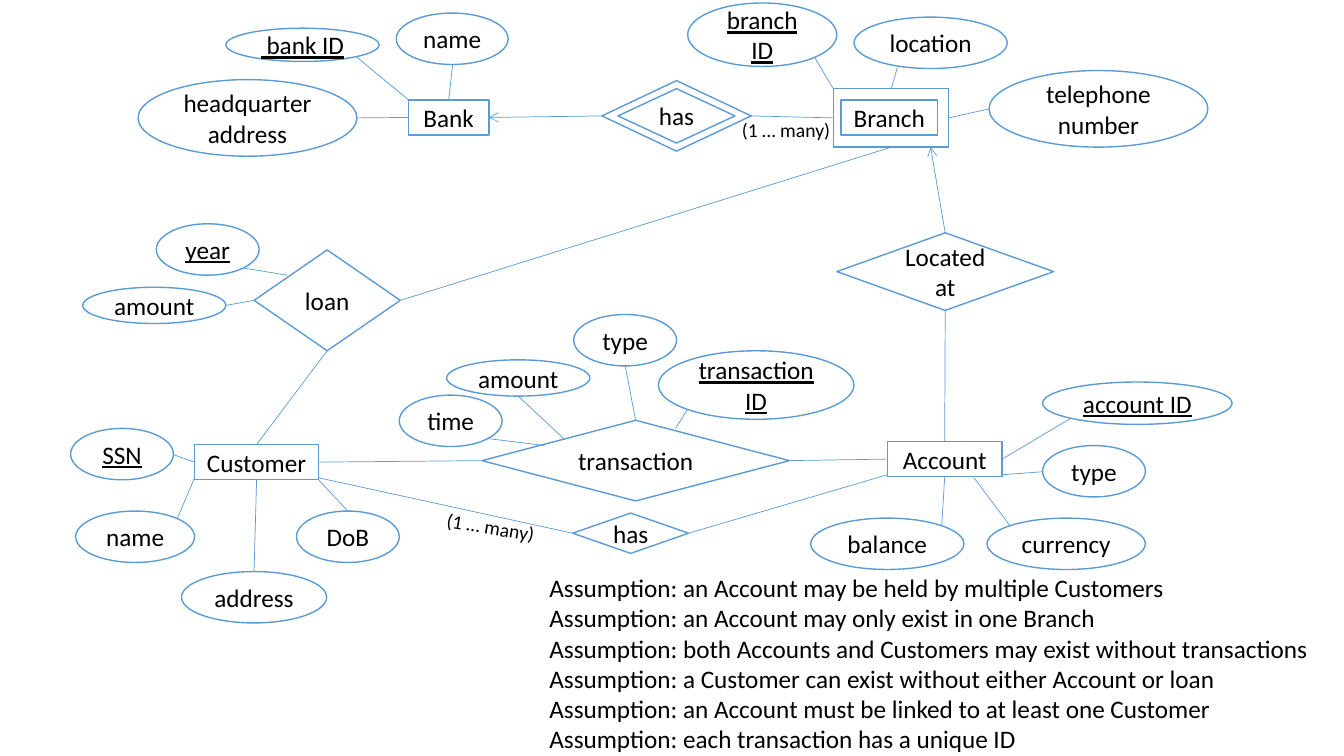
from lxml import etree
from pptx import Presentation
from pptx.dml.color import RGBColor
from pptx.enum.shapes import MSO_CONNECTOR, MSO_SHAPE
from pptx.enum.text import MSO_ANCHOR, MSO_AUTO_SIZE, PP_ALIGN
from pptx.oxml.ns import qn
from pptx.util import Inches, Pt

RECT, OVAL, DIAMOND = MSO_SHAPE.RECTANGLE, MSO_SHAPE.OVAL, MSO_SHAPE.DIAMOND
STRAIGHT = MSO_CONNECTOR.STRAIGHT
MIDDLE, TOP_ANCHOR = MSO_ANCHOR.MIDDLE, MSO_ANCHOR.TOP
CENTER, START = PP_ALIGN.CENTER, PP_ALIGN.LEFT
GROW = MSO_AUTO_SIZE.SHAPE_TO_FIT_TEXT
BLUE = RGBColor(0x5B, 0x9B, 0xD5)
WHITE = RGBColor(0xFF, 0xFF, 0xFF)
BLACK = RGBColor(0, 0, 0)
FONT = "Calibri"
TOP, LEFT, BOTTOM, RIGHT = range(4)

NODES = {
    "owns frame": (DIAMOND, "", 5.97, 0.8, 1.48, 0.7),
    "owns": (DIAMOND, "has", 6.13, 0.88, 1.16, 0.54),
    "branch frame": (RECT, "", 8.27, 0.88, 1.14, 0.58),
    "branch": (RECT, "Branch", 8.34, 0.99, 0.96, 0.35),
    "bank": (RECT, "Bank", 4.05, 0.99, 0.8, 0.35),
    "customer": (RECT, "Customer", 1.93, 4.41, 1.23, 0.35),
    "account": (RECT, "Account", 8.8, 4.38, 1.14, 0.35),
    "loan": (DIAMOND, "loan", 2.52, 2.48, 1.45, 1),
    "deal": (DIAMOND, "transaction", 4.78, 4.17, 3.05, 0.8),
    "located": (DIAMOND, "Located at", 8.3, 2.31, 2.15, 0.77),
    "holds": (DIAMOND, "has", 5.68, 5.09, 1.15, 0.4),
}

KEYS = [
    (" bank ID", 2.24, 0.28, 1.52, 0.33),
    ("SSN", 0.7, 4.25, 1.02, 0.51),
    ("year", 1.55, 2.22, 1.02, 0.51),
    ("account ID", 10.34, 3.79, 1.88, 0.42),
    ("branch ID", 6.82, 0.03, 1.48, 0.63),
    ("transaction ID", 6.53, 3.48, 1.94, 0.68),
]

FIELDS = [
    ("name", 3.93, 0.13, 1.11, 0.51),
    ("headquarter address", 1.37, 0.79, 2.17, 0.76),
    ("name", 0.75, 5.07, 1.18, 0.51),
    ("address", 1.8, 5.67, 1.44, 0.51),
    ("DoB", 2.94, 5.07, 1.02, 0.51),
    ("amount", 0.82, 2.85, 1.42, 0.36),
    ("type", 10.34, 4.42, 1.02, 0.51),
    ("currency", 9.79, 5.14, 1.57, 0.51),
    ("balance", 8.04, 5.14, 1.52, 0.51),
    ("location", 8.47, 0.17, 1.52, 0.51),
    ("telephone number", 9.81, 0.7, 2.17, 0.76),
    ("amount", 4.43, 3.57, 1.42, 0.36),
    ("type", 5.69, 3.12, 1.02, 0.51),
    ("time", 3.96, 3.92, 1.02, 0.51),
]

LINKS = [
    (("bank", LEFT), (3.54, 1.17)),
    ((4.05, 0.99), (3.53, 0.56)),
    (("bank", TOP), (4.49, 0.64)),
    (("customer", LEFT), (1.72, 4.51)),
    ((1.93, 4.74), (1.76, 5.14)),
    (("customer", BOTTOM), (2.52, 5.67)),
    ((3.16, 4.76), (3.45, 5.07)),
    (("account", BOTTOM), (9.34, 5.22)),
    ((9.66, 4.74), (10.02, 5.22)),
    ((10.34, 4.68), (9.94, 4.71)),
    ((10.62, 4.15), ("account", RIGHT)),
    ((9.81, 1.08), ("branch frame", RIGHT)),
    ((8.9, 0.67), ("branch frame", TOP)),
    ((8.27, 0.89), (8.08, 0.57)),
    (("loan", LEFT), (2.24, 3.03)),
    ((2.85, 2.73), (2.42, 2.66)),
    (("owns frame", RIGHT), ("branch frame", LEFT)),
    ((4.83, 4.35), (5.4, 4.42)),
    ((5.14, 3.93), (5.6, 4.36)),
    ((6.2, 3.63), ("deal", TOP)),
    ((6.82, 4.06), (6.7, 4.25)),
    (("customer", RIGHT), ("deal", LEFT)),
    (("deal", RIGHT), ("account", LEFT)),
    (("customer", TOP), ("loan", BOTTOM)),
    (("branch frame", BOTTOM), ("loan", RIGHT)),
    (("located", BOTTOM), ("account", TOP)),
    (("holds", RIGHT), (8.8, 4.71)),
    ((3.16, 4.74), ("holds", LEFT)),
]

ARROWS = [
    (("owns frame", LEFT), ("bank", RIGHT)),
    (("located", TOP), (9.23, 1.46)),
]

MANY = "(1 … many)"
RULES = [
    "Assumption: an Account may be held by multiple Customers",
    "Assumption: an Account may only exist in one Branch",
    "Assumption: both Accounts and Customers may exist without transactions",
    "Assumption: a Customer can exist without either Account or loan",
    "Assumption: an Account must be linked to at least one Customer",
    "Assumption: each transaction has a unique ID",
]
NOTES = [
    ([MANY], (7.26, 1.12, 1.08, 0.34), 14, 0),
    ([MANY], (4.33, 5.06, 1.08, 0.34), 14, 9.5),
    (RULES, (5.35, 5.63, 7.75, 1.92), 18, 0),
]

deck = Presentation()
deck.slide_width, deck.slide_height = Inches(13.33), Inches(7.5)
slide = deck.slides.add_slide(deck.slide_layouts[6])
shapes = slide.shapes


def write(frame, lines, size=18, line=False, align=CENTER, anchor=MIDDLE, wrap=True):
    frame.word_wrap = wrap
    frame.vertical_anchor = anchor
    for i, text in enumerate(lines):
        para = frame.add_paragraph() if i else frame.paragraphs[0]
        para.alignment = align
        run = para.add_run()
        run.text = text
        font = run.font
        font.name, font.size, font.underline = FONT, Pt(size), line
        font.color.rgb = BLACK


def draw(kind, text, *box, line=False):
    node = shapes.add_shape(kind, *map(Inches, box))
    node.shadow.inherit = False
    node.fill.solid()
    node.fill.fore_color.rgb = WHITE
    node.line.color.rgb = BLUE
    node.line.width = Pt(1)
    if text:
        write(node.text_frame, [text], line=line)
    return node


def link(start, end, arrow=False):
    wire = shapes.add_connector(STRAIGHT, 0, 0, 0, 0)
    if isinstance(start[0], str):
        wire.begin_connect(nodes[start[0]], start[1])
    else:
        wire.begin_x, wire.begin_y = map(Inches, start)
    if isinstance(end[0], str):
        wire.end_connect(nodes[end[0]], end[1])
    else:
        wire.end_x, wire.end_y = map(Inches, end)
    wire.line.color.rgb = BLUE
    wire.line.width = Pt(0.5)
    if arrow:
        etree.SubElement(wire.line._get_or_add_ln(), qn("a:tailEnd"), type="arrow")
    etree.SubElement(wire._element.spPr, qn("a:effectLst"))


nodes = {name: draw(*spec) for name, spec in NODES.items()}
for text, *box in KEYS:
    draw(OVAL, text, *box, line=True)
for text, *box in FIELDS:
    draw(OVAL, text, *box)
for start, end in LINKS:
    link(start, end)
for start, end in ARROWS:
    link(start, end, arrow=True)
for lines, box, size, turn in NOTES:
    note = shapes.add_textbox(*map(Inches, box))
    note.rotation = turn
    write(note.text_frame, lines, size=size, align=START, anchor=TOP_ANCHOR, wrap=False)
    note.text_frame.auto_size = GROW

deck.save("out.pptx")
